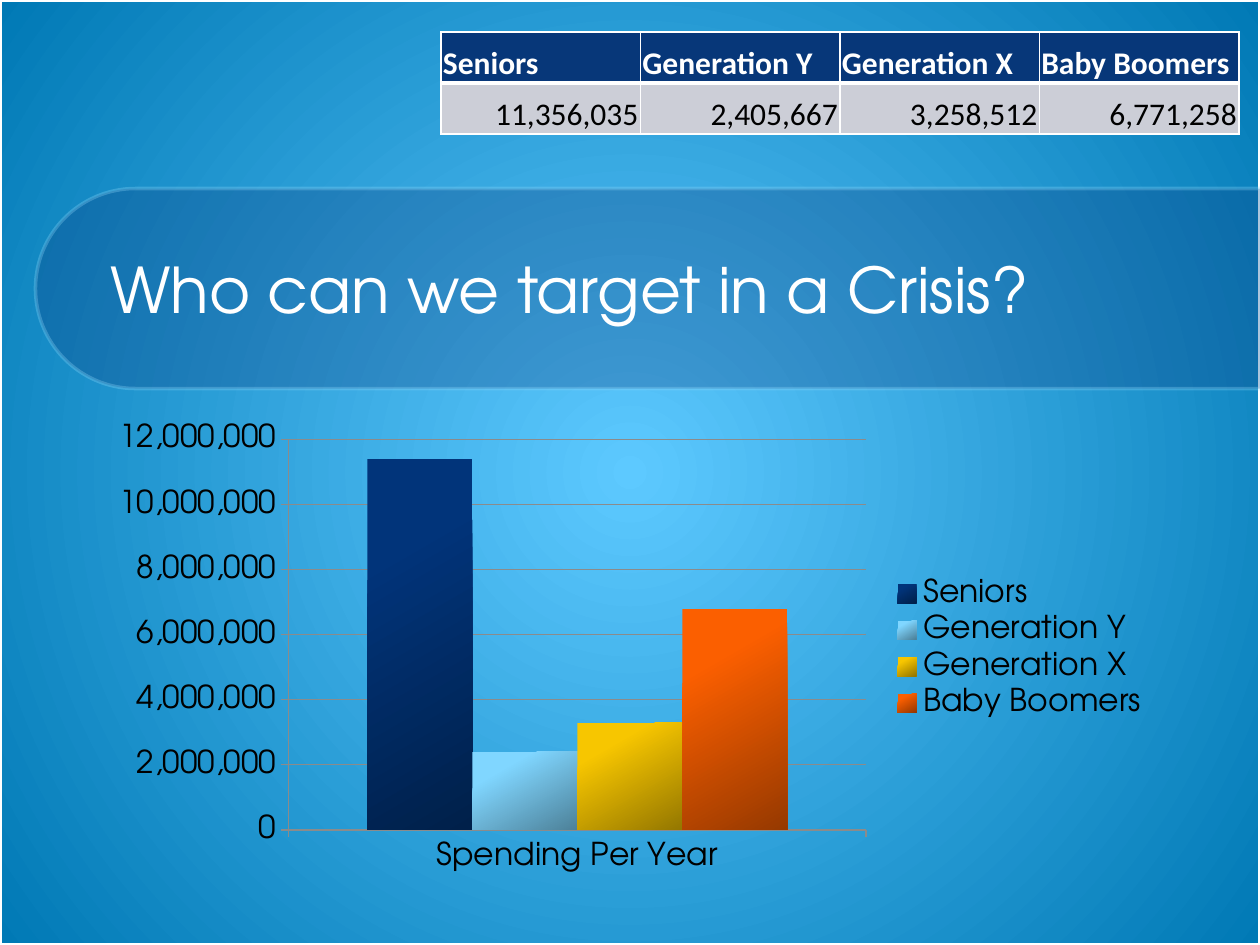
import dataclasses

import lxml.etree
import pptx
import pptx.chart.data
import pptx.dml.color
import pptx.enum.chart
import pptx.enum.shapes
import pptx.enum.text
import pptx.oxml
import pptx.oxml.ns
import pptx.util

EMU_PER_PX = 914400 / 126


@dataclasses.dataclass(frozen=True)
class Theme:
    center: str = "5DC9FF"
    edge: str = "0079B5"
    white: str = "FFFFFF"
    black: str = "000000"
    navy: str = "073779"
    band_line: str = "8FD9FB"
    cell: str = "CCCED7"
    axis: str = "8B8B8B"
    font: str = "TeX Gyre Adventor"
    table_font: str = "Calibri"
    title_size: int = 36
    body_size: int = 18


theme = Theme()
color = pptx.dml.color.RGBColor.from_string
qn = pptx.oxml.ns.qn
align = pptx.enum.text.PP_ALIGN
anchor = pptx.enum.text.MSO_ANCHOR


def px(length):
    return pptx.util.Emu(round(length * EMU_PER_PX))


def write_text(frame, text, *, size, font, fill, bold=False, alignment=align.LEFT):
    paragraph = frame.paragraphs[0]
    paragraph.alignment = alignment
    run = paragraph.add_run()
    run.text = text
    run.font.size = pptx.util.Pt(size)
    run.font.name = font
    run.font.bold = bold
    run.font.color.rgb = color(fill)


# Name, yearly spending, light and dark end of the column's gradient
groups = [
    ("Seniors", 11356035, "01347A", "00204A"),
    ("Generation Y", 2405667, "80D6FF", "4D8199"),
    ("Generation X", 3258512, "F7C600", "947700"),
    ("Baby Boomers", 6771258, "FB5F00", "963900"),
]

presentation = pptx.Presentation()
presentation.slide_width = px(1260)
presentation.slide_height = px(945)
slide = presentation.slides.add_slide(presentation.slide_layouts[6])

# Radial background
slide.background.fill.gradient()
gradient = slide.element.find(".//" + qn("p:bgPr")).find(qn("a:gradFill"))
radial = pptx.oxml.parse_xml(
    f"""<a:gradFill xmlns:a="http://schemas.openxmlformats.org/drawingml/2006/main" rotWithShape="1">
    <a:gsLst><a:gs pos="0"><a:srgbClr val="{theme.center}"/></a:gs>
    <a:gs pos="100000"><a:srgbClr val="{theme.edge}"/></a:gs></a:gsLst>
    <a:path path="circle"><a:fillToRect l="50000" t="50000" r="50000" b="50000"/></a:path>
    </a:gradFill>"""
)
gradient.getparent().replace(gradient, radial)

# White frame around the slide
frame = slide.shapes.add_shape(
    pptx.enum.shapes.MSO_SHAPE.RECTANGLE, 0, 0, px(1260), px(945)
)
frame.shadow.inherit = False
frame.fill.background()
frame.line.color.rgb = color(theme.white)
frame.line.width = pptx.util.Pt(2)

# Translucent title band, rounded on the left
band = slide.shapes.add_shape(
    pptx.enum.shapes.MSO_SHAPE.ROUND_2_SAME_RECTANGLE,
    px(548), px(-324), px(200), px(1225),
)
band.rotation = 270
band.adjustments[0] = 0.5
band.adjustments[1] = 0
band.shadow.inherit = False
band.fill.solid()
band.fill.fore_color.rgb = color(theme.navy)
band.line.color.rgb = color(theme.band_line)
band.line.width = pptx.util.Pt(2)
for band_color in band.element.spPr.iter(qn("a:srgbClr")):
    lxml.etree.SubElement(band_color, qn("a:alpha"), val="30000")

# Title
title = slide.shapes.add_textbox(px(98), px(189), px(1064), px(199))
title.text_frame.word_wrap = True
title.text_frame.vertical_anchor = anchor.MIDDLE
write_text(title.text_frame, "Who can we target in a Crisis?",
           size=theme.title_size, font=theme.font, fill=theme.white)

# Spending table
table = slide.shapes.add_table(
    2, len(groups), px(441), px(32), px(798), px(102)
).table
for row in table.rows:
    row.height = px(51)
for column_index, (name, spending, light, dark) in enumerate(groups):
    table.columns[column_index].width = px(798) // len(groups)
    for row_index, text in enumerate((name, f"{spending:,}")):
        header = row_index == 0
        cell = table.cell(row_index, column_index)
        cell.vertical_anchor = anchor.BOTTOM
        cell.margin_left = cell.margin_right = px(2)
        cell.margin_top = px(1)
        cell.margin_bottom = 0
        write_text(cell.text_frame, text, size=theme.body_size,
                   font=theme.table_font, bold=header,
                   fill=theme.white if header else theme.black,
                   alignment=align.LEFT if header else align.RIGHT)
        properties = cell._tc.get_or_add_tcPr()
        for side in ("lnL", "lnR", "lnT", "lnB"):
            divider = (side == "lnB") if header else (side == "lnT")
            border = lxml.etree.SubElement(
                properties, qn(f"a:{side}"),
                w=str(pptx.util.Pt(3 if divider else 1)),
            )
            border_fill = lxml.etree.SubElement(border, qn("a:solidFill"))
            lxml.etree.SubElement(border_fill, qn("a:srgbClr"), val=theme.white)
        cell.fill.solid()
        cell.fill.fore_color.rgb = color(theme.navy if header else theme.cell)

# Column chart, with spending rounded to the nearest hundred thousand
chart_data = pptx.chart.data.CategoryChartData(number_format="#,##0")
chart_data.categories = ["Spending Per Year"]
for name, spending, light, dark in groups:
    chart_data.add_series(name, [round(spending, -5)])
chart = slide.shapes.add_chart(
    pptx.enum.chart.XL_CHART_TYPE.COLUMN_CLUSTERED,
    px(98), px(415), px(1064), px(467), chart_data,
).chart
chart.has_title = False
chart.font.name = theme.font
chart.font.size = pptx.util.Pt(theme.body_size)
chart.font.color.rgb = color(theme.black)
chart.has_legend = True
chart.legend.position = pptx.enum.chart.XL_LEGEND_POSITION.RIGHT
chart.legend.include_in_layout = False

plot = chart.plots[0]
plot.vary_by_categories = False
plot.gap_width = 150
plot.overlap = 0
for series, (name, spending, light, dark) in zip(plot.series, groups):
    fill = series.format.fill
    fill.gradient()
    fill.gradient_angle = 300
    for stop, stop_color, position in zip(
        fill.gradient_stops, (light, dark), (0.25, 1)
    ):
        stop.color.rgb = color(stop_color)
        stop.position = position

value_axis = chart.value_axis
value_axis.has_major_gridlines = True
value_axis.tick_labels.number_format = "#,##0"
value_axis.tick_labels.number_format_is_linked = False
for axis in (chart.category_axis, value_axis):
    axis.major_tick_mark = pptx.enum.chart.XL_TICK_MARK.OUTSIDE
for lines in (chart.category_axis, value_axis, value_axis.major_gridlines):
    lines.format.line.color.rgb = color(theme.axis)
    lines.format.line.width = pptx.util.Pt(0.75)

presentation.save("out.pptx")
